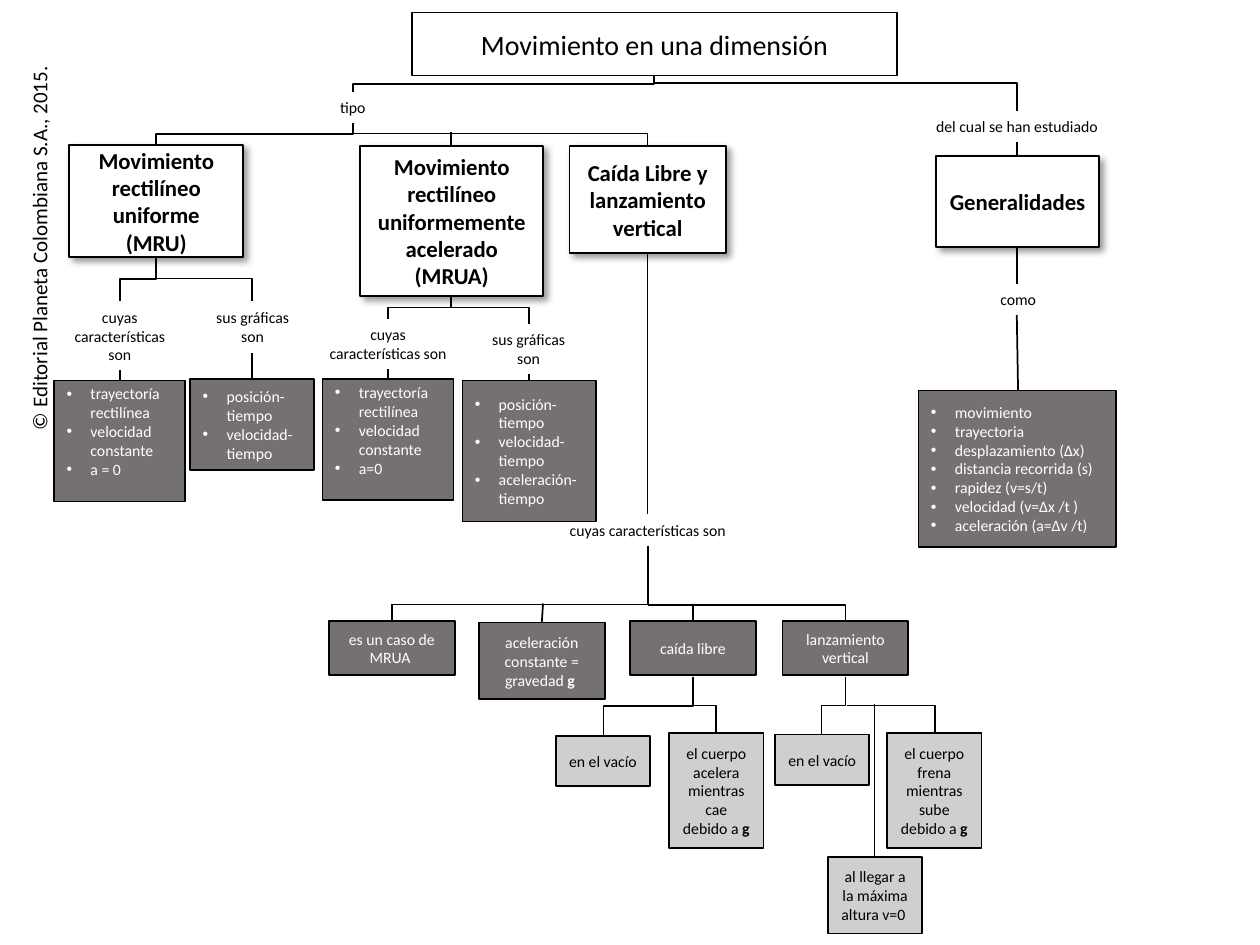
from dataclasses import dataclass

from lxml import etree
from pptx import Presentation
from pptx.dml.color import RGBColor
from pptx.enum.shapes import MSO_CONNECTOR as Connector, MSO_SHAPE as Shape
from pptx.enum.text import MSO_ANCHOR as Anchor, PP_ALIGN as Align
from pptx.oxml import parse_xml
from pptx.oxml.ns import nsdecls, qn
from pptx.util import Inches, Pt

COLORS = {"black": "000000", "white": "FFFFFF", "dark": "767171", "light": "D0CECE"}
FONT = "Calibri"
INDENT = 0.19


@dataclass
class Style:
    fill: str
    text: str = "black"
    size: int = 9
    bold: bool = False
    shadow: bool = False


@dataclass
class Box:
    left: float
    top: float
    width: float
    height: float
    lines: list[str]
    style: Style
    symbol: str = ""
    bullets: bool = False
    bottom: float = 0.05


@dataclass
class Label:
    left: float
    top: float
    width: float
    height: float
    text: str


@dataclass
class Link:
    x1: float
    y1: float
    x2: float
    y2: float
    bend: float = 0.5


TITLE = Style("white", size=16)
TOPIC = Style("white", size=13, bold=True, shadow=True)
DARK = Style("dark", text="white")
LIGHT = Style("light")

BOXES = [
    Box(3.27, 0.1, 3.85, 0.5, ["Movimiento en una dimensión"], TITLE),
    Box(0.55, 1.15, 1.38, 0.89, ["Movimiento rectilíneo uniforme (MRU)"], TOPIC),
    Box(2.86, 1.16, 1.45, 1.19, ["Movimiento rectilíneo uniformemente acelerado (MRUA)"], TOPIC),
    Box(4.52, 1.16, 1.24, 0.85, ["Caída Libre y lanzamiento vertical"], TOPIC),
    Box(7.43, 1.24, 1.29, 0.72, ["Generalidades"], TOPIC),
    Box(0.43, 3.02, 1.04, 0.96, ["trayectoría rectilínea", "velocidad constante", "a = 0"],
        DARK, bullets=True, bottom=0.2),
    Box(1.51, 3.01, 0.98, 0.72, ["posición-tiempo", "velocidad- tiempo"], DARK, bullets=True),
    Box(2.56, 3.01, 1.04, 0.96, ["trayectoría rectilínea", "velocidad constante", "a=0"],
        DARK, bullets=True, bottom=0.2),
    Box(3.67, 3.02, 1.06, 1.12, ["posición-tiempo", "velocidad- tiempo", "aceleración-tiempo"],
        DARK, bullets=True),
    Box(7.29, 3.1, 1.57, 1.24,
        ["movimiento", "trayectoria", "desplazamiento (∆x)", "distancia recorrida (s)",
         "rapidez (v=s/t)", "velocidad (v=∆x /t )", "aceleración (a=∆v /t)"], DARK, bullets=True),
    Box(2.61, 4.93, 1, 0.43, ["es un caso de MRUA "], DARK),
    Box(3.8, 4.94, 1, 0.61, ["aceleración constante = gravedad "], DARK, symbol="g "),
    Box(5, 4.93, 1, 0.43, ["caída libre"], DARK),
    Box(6.21, 4.93, 1, 0.43, ["lanzamiento vertical"], DARK),
    Box(4.41, 5.84, 0.75, 0.4, ["en el vacío"], LIGHT),
    Box(5.31, 5.82, 0.75, 0.91, ["el cuerpo acelera mientras cae debido a "], LIGHT, symbol="g "),
    Box(6.15, 5.83, 0.75, 0.4, ["en el vacío"], LIGHT),
    Box(7.04, 5.82, 0.75, 0.91, ["el cuerpo frena mientras sube debido a "], LIGHT, symbol="g "),
    Box(6.57, 6.8, 0.75, 0.61, ["al llegar a la máxima altura v=0 "], LIGHT),
]

LABELS = [
    Label(2.27, 0.73, 1.06, 0.25, "tipo"),
    Label(7.28, 0.88, 1.58, 0.25, "del cual se han estudiado"),
    Label(7.62, 2.25, 0.92, 0.25, "como"),
    Label(0.39, 2.39, 1.12, 0.56, "cuyas características son"),
    Label(1.52, 2.39, 0.97, 0.4, "sus gráficas son"),
    Label(2.48, 2.53, 1.2, 0.4, "cuyas características son"),
    Label(3.75, 2.57, 0.89, 0.4, "sus gráficas son"),
    Label(4.38, 4.08, 1.52, 0.25, "cuyas características son"),
]

STRAIGHT_LINKS = [
    Link(0.95, 2.94, 0.95, 3.02), Link(2, 2.8, 2, 3.01),
    Link(3.08, 2.93, 3.08, 3.01), Link(4.2, 2.97, 4.2, 3.02),
    Link(5.14, 2.01, 5.14, 4.08), Link(8.07, 1.13, 8.07, 1.24),
    Link(8.07, 1.97, 8.07, 2.25), Link(8.07, 2.5, 8.08, 3.1),
    Link(3.58, 1.05, 3.58, 1.16), Link(4.31, 4.79, 4.3, 4.94),
    Link(5.5, 4.8, 5.5, 4.93), Link(6.94, 5.59, 6.94, 6.8),
]

LEFT_BRANCHES = [
    Link(5.19, 0.6, 2.8, 0.73), Link(2.8, 0.98, 1.24, 1.15),
    Link(1.24, 2.04, 0.95, 2.39), Link(3.58, 2.35, 3.08, 2.53),
    Link(5.14, 4.33, 3.11, 4.93, bend=0.78),
    Link(5.5, 5.37, 4.79, 5.84), Link(6.71, 5.37, 6.52, 5.83),
]

RIGHT_BRANCHES = [
    Link(5.19, 0.66, 8.07, 0.88), Link(2.8, 1.06, 5.14, 1.16),
    Link(1.24, 2.21, 2, 2.39), Link(3.58, 2.44, 4.2, 2.57),
    Link(5.14, 4.8, 6.71, 4.93), Link(5.5, 5.6, 5.68, 5.82),
    Link(6.72, 5.6, 7.42, 5.82),
]


def color(name: str) -> RGBColor:
    return RGBColor.from_string(COLORS[name])


def format_runs(paragraph, size: int, text_color: str, bold: bool = False) -> None:
    for run in paragraph.runs:
        run.font.name = FONT
        run.font.size = Pt(size)
        run.font.bold = bold
        run.font.color.rgb = color(text_color)


def add_bullet(paragraph) -> None:
    properties = paragraph._p.get_or_add_pPr()
    properties.set("marL", str(Inches(INDENT)))
    properties.set("indent", str(-Inches(INDENT)))
    etree.SubElement(properties, qn("a:buFont")).set("typeface", "Arial")
    etree.SubElement(properties, qn("a:buChar")).set("char", "•")


def add_shadow(shape) -> None:
    effects = shape.element.spPr.find(qn("a:effectLst"))
    effects.append(parse_xml(
        f'<a:outerShdw {nsdecls("a")} blurRad="{Pt(4)}" dist="{Pt(3)}" dir="2700000" '
        f'algn="tl" rotWithShape="0"><a:srgbClr val="{COLORS["black"]}">'
        '<a:alpha val="40000"/></a:srgbClr></a:outerShdw>'))


def draw_box(slide, box: Box) -> None:
    style = box.style
    shape = slide.shapes.add_shape(Shape.RECTANGLE, Inches(box.left), Inches(box.top),
                                   Inches(box.width), Inches(box.height))
    shape.shadow.inherit = False
    shape.fill.solid()
    shape.fill.fore_color.rgb = color(style.fill)
    shape.line.color.rgb = color("black")
    shape.line.width = Pt(1)
    if style.shadow:
        add_shadow(shape)
    text_frame = shape.text_frame
    text_frame.word_wrap = True
    text_frame.vertical_anchor = Anchor.MIDDLE
    text_frame.margin_bottom = Inches(box.bottom)
    text_frame.text = "\n".join(box.lines)
    for paragraph in text_frame.paragraphs:
        paragraph.alignment = Align.LEFT if box.bullets else Align.CENTER
        if box.bullets:
            add_bullet(paragraph)
        if box.symbol:
            paragraph.add_run().text = box.symbol
        format_runs(paragraph, style.size, style.text, style.bold)
        if box.symbol:
            paragraph.runs[-1].font.bold = True


def draw_label(slide, label: Label, size: int = 9, wrap: bool = True):
    shape = slide.shapes.add_textbox(Inches(label.left), Inches(label.top),
                                     Inches(label.width), Inches(label.height))
    shape.text_frame.word_wrap = wrap
    shape.text_frame.text = label.text
    paragraph = shape.text_frame.paragraphs[0]
    paragraph.alignment = Align.CENTER
    format_runs(paragraph, size, "black")
    return shape


def draw_link(slide, link: Link, kind=Connector.STRAIGHT):
    connector = slide.shapes.add_connector(kind, Inches(link.x1), Inches(link.y1),
                                           Inches(link.x2), Inches(link.y2))
    connector.line.color.rgb = color("black")
    connector.line.width = Pt(1)
    etree.SubElement(connector.element.spPr, qn("a:effectLst"))
    return connector


def draw_left_branch(slide, link: Link) -> None:
    drop, run = link.y2 - link.y1, link.x1 - link.x2
    left = (link.x1 + link.x2 - drop) / 2
    top = (link.y1 + link.y2 - run) / 2
    connector = draw_link(slide, Link(left, top, left + drop, top + run), Connector.ELBOW)
    properties = connector.element.spPr
    properties.find(qn("a:xfrm")).set("rot", "5400000")
    adjustments = properties.find(qn("a:prstGeom")).find(qn("a:avLst"))
    guide = etree.SubElement(adjustments, qn("a:gd"))
    guide.set("name", "adj1")
    guide.set("fmla", f"val {round(link.bend * 100000)}")


def draw_right_branch(slide, link: Link) -> None:
    connector = draw_link(slide, link, Connector.ELBOW)
    connector.element.spPr.find(qn("a:prstGeom")).set("prst", "bentConnector2")


def main() -> None:
    presentation = Presentation()
    presentation.slide_width = Inches(10)
    presentation.slide_height = Inches(7.5)
    slide = presentation.slides.add_slide(presentation.slide_layouts[6])
    credit = Label(-1.25, 1.82, 3.12, 0.3, "© Editorial Planeta Colombiana S.A., 2015.")
    draw_label(slide, credit, size=12, wrap=False).rotation = 270
    for link in STRAIGHT_LINKS:
        draw_link(slide, link)
    for link in LEFT_BRANCHES:
        draw_left_branch(slide, link)
    for link in RIGHT_BRANCHES:
        draw_right_branch(slide, link)
    for box in BOXES:
        draw_box(slide, box)
    for label in LABELS:
        draw_label(slide, label)
    presentation.save("out.pptx")


if __name__ == "__main__":
    main()
